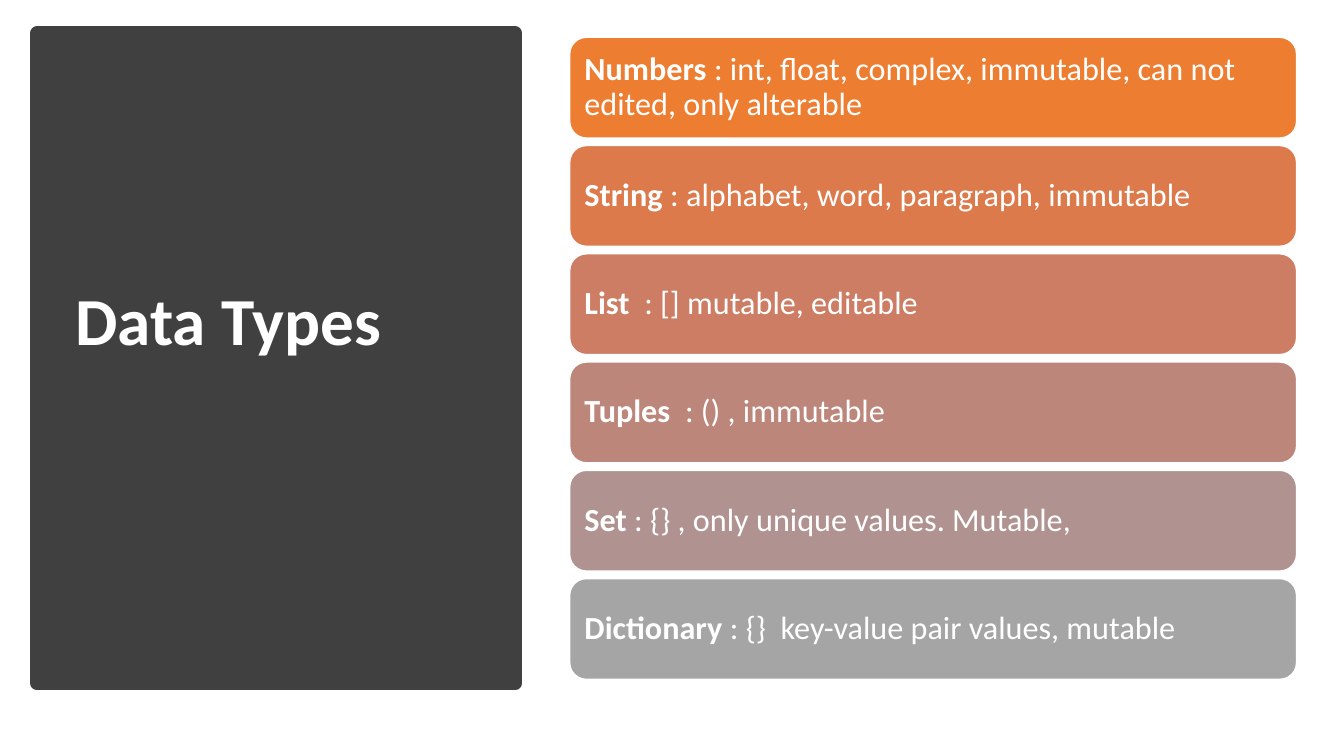
from pptx import Presentation
from pptx.dml.color import RGBColor
from pptx.enum.shapes import MSO_SHAPE
from pptx.enum.text import MSO_ANCHOR
from pptx.util import Inches, Pt

RECTANGLE = MSO_SHAPE.RECTANGLE
ROUNDED = MSO_SHAPE.ROUNDED_RECTANGLE
MIDDLE = MSO_ANCHOR.MIDDLE

COLORS = {
    "panel": "404040",
    "white": "FFFFFF",
    "numbers": "ED7D31",
    "string": "DC7A4B",
    "list": "CC7D64",
    "tuples": "BD867B",
    "set": "B09391",
    "dictionary": "A5A5A5",
}

DATA_TYPES = [
    ("numbers", "Numbers", " : int, float, complex, immutable, can not edited, only alterable"),
    ("string", "String", " : alphabet, word, paragraph, immutable"),
    ("list", "List", "  : [] mutable, editable"),
    ("tuples", "Tuples", "  : () , immutable"),
    ("set", "Set", " : {} , only unique values. Mutable,"),
    ("dictionary", "Dictionary", " : {}  key-value pair values, mutable"),
]

FIRST_CARD_TOP = 0.37
LAST_CARD_TOP = 5.74
CARD_STEP = (LAST_CARD_TOP - FIRST_CARD_TOP) / (len(DATA_TYPES) - 1)


def color(name):
    return RGBColor.from_string(COLORS[name])


def add_run(paragraph, text, *, size, bold=False, font="Calibri", fill="white"):
    run = paragraph.add_run()
    run.text = text
    run.font.name = font
    run.font.size = Pt(size)
    run.font.bold = bold
    run.font.color.rgb = color(fill)


class SlideBuilder:
    title_size = 48
    card_size = 23
    line_spacing = 0.9

    def __init__(self, slide):
        self.slide = slide

    def block(self, kind, left, top, width, height, fill, line, line_width):
        shape = self.slide.shapes.add_shape(
            kind, Inches(left), Inches(top), Inches(width), Inches(height))
        shape.shadow.inherit = False
        shape.fill.solid()
        shape.fill.fore_color.rgb = color(fill)
        shape.line.color.rgb = color(line)
        shape.line.width = Pt(line_width)
        return shape

    def paragraph(self, shape, side, top, bottom):
        frame = shape.text_frame
        frame.word_wrap = True
        frame.vertical_anchor = MIDDLE
        frame.margin_left = frame.margin_right = Inches(side)
        frame.margin_top = Inches(top)
        frame.margin_bottom = Inches(bottom)
        paragraph = frame.paragraphs[0]
        paragraph.line_spacing = self.line_spacing
        paragraph.alignment = 1
        return paragraph

    def title(self, text, left, top, width, height):
        box = self.slide.shapes.add_textbox(
            Inches(left), Inches(top), Inches(width), Inches(height))
        paragraph = self.paragraph(box, 0.1, 0.05, 0.78)
        add_run(paragraph, text, size=self.title_size, bold=True)

    def card(self, name, description, top, fill):
        shape = self.block(ROUNDED, 5.65, top, 7.21, 1, fill, "white", 1)
        paragraph = self.paragraph(shape, 0.1, 0.1, 0.1)
        add_run(paragraph, name, size=self.card_size, bold=True)
        add_run(paragraph, description, size=self.card_size)


def main():
    presentation = Presentation()
    presentation.slide_width = Inches(13.33)
    presentation.slide_height = Inches(7.5)
    slide = presentation.slides.add_slide(presentation.slide_layouts[6])
    builder = SlideBuilder(slide)
    builder.block(RECTANGLE, 0.37, 0.33, 4.74, 6.45, "panel", "panel", 10)
    builder.title("Data Types", 0.65, 0.7, 4.16, 5.75)
    for index, (fill, name, description) in enumerate(DATA_TYPES):
        builder.card(name, description, FIRST_CARD_TOP + index * CARD_STEP, fill)
    presentation.save("out.pptx")


if __name__ == "__main__":
    main()
